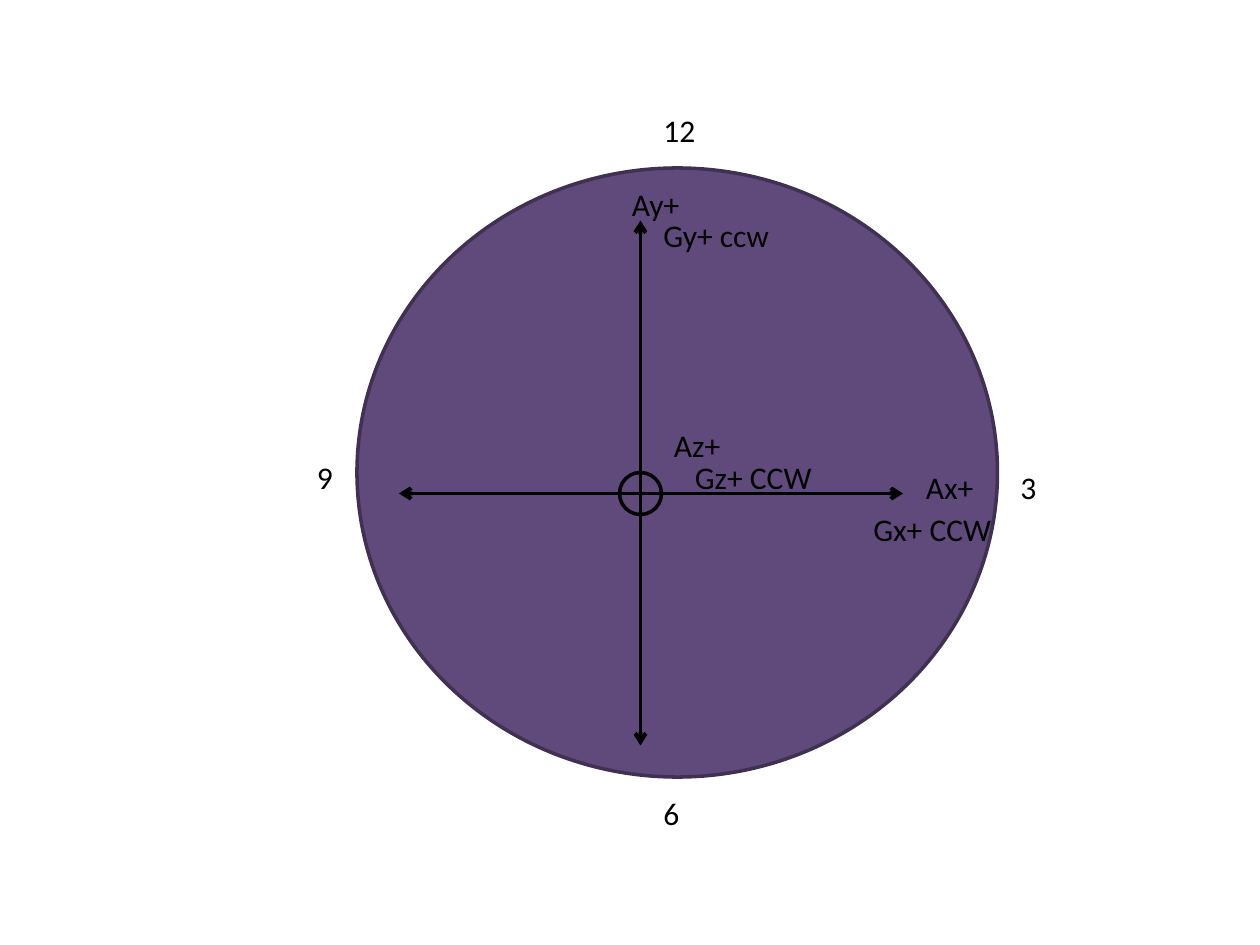
import dataclasses
import pptx
import pptx.dml.color
import pptx.enum.shapes
import pptx.enum.text
import pptx.oxml
import pptx.oxml.ns
import pptx.util

Pt = pptx.util.Pt
RGB = pptx.dml.color.RGBColor
SHAPE = pptx.enum.shapes.MSO_SHAPE


@dataclasses.dataclass(frozen=True)
class Theme:
    dial: RGB = RGB(0x60, 0x4A, 0x7B)
    rim: RGB = RGB(0x40, 0x31, 0x52)
    ink: RGB = RGB(0, 0, 0)
    font: str = "Calibri"
    text_size: float = 18
    outline: float = 2
    axis: float = 2.25


THEME = Theme()


def set_all(target, values):
    for key, value in values.items():
        setattr(target, key, value)


def add_disc(slide, left, top, width, height, rim):
    disc = slide.shapes.add_shape(SHAPE.OVAL, Pt(left), Pt(top), Pt(width), Pt(height))
    disc.shadow.inherit = False
    disc.fill.solid()
    disc.fill.fore_color.rgb = THEME.dial
    disc.line.color.rgb = rim
    disc.line.width = Pt(THEME.outline)


def add_axis(slide, x1, y1, x2, y2):
    axis = slide.shapes.add_connector(
        pptx.enum.shapes.MSO_CONNECTOR.STRAIGHT, Pt(x1), Pt(y1), Pt(x2), Pt(y2))
    axis.line.color.rgb = THEME.ink
    axis.line.width = Pt(THEME.axis)
    # Arrowheads at both ends, no shadow
    line = axis.line._get_or_add_ln()
    for end in ("a:headEnd", "a:tailEnd"):
        line.append(pptx.oxml.parse_xml(
            f'<{end} {pptx.oxml.ns.nsdecls("a")} type="arrow"/>'))
    axis._element.spPr.append(pptx.oxml.parse_xml(
        f'<a:effectLst {pptx.oxml.ns.nsdecls("a")}/>'))


def add_label(slide, words, left, top, width, wrap, height=29):
    label = slide.shapes.add_textbox(Pt(left), Pt(top), Pt(width), Pt(height))
    set_all(label.text_frame, {
        "word_wrap": wrap,
        "auto_size": pptx.enum.text.MSO_AUTO_SIZE.SHAPE_TO_FIT_TEXT,
    })
    run = label.text_frame.paragraphs[0].add_run()
    run.text = words
    set_all(run.font, {"name": THEME.font, "size": Pt(THEME.text_size)})
    run.font.color.rgb = THEME.ink


def sensor_dial(slide, left, top, width, height):
    """Clock dial with the sensor axes, placed relative to its box."""
    add_disc(slide, left, top, width, height, THEME.rim)

    # Hub where the axes cross
    hub_x, hub_y, hub_radius = left + 162, top + 186, 12
    add_disc(slide, hub_x - hub_radius, hub_y - hub_radius,
             2 * hub_radius, 2 * hub_radius, THEME.ink)

    # Axes
    add_axis(slide, left + 24, hub_y, left + 312, hub_y)
    add_axis(slide, hub_x, top + 30, hub_x, top + 330)

    # Labels: words, offset from the dial, width, wrap
    labels = [
        # Acceleration
        ("Ay+", 150, 6, 54, True),
        ("Ax+", 318, 168, 42, False),
        ("Az+", 174, 144, 41, False),
        # Rotation
        ("Gy+ ccw", 168, 24, 75.6, False),
        ("Gx+ CCW", 288, 192, 90, True),
        ("Gz+ CCW", 186, 162, 96, True, 51),
        # Clock positions
        ("12", 168, -36, 36, True),
        ("3", width + 6, 168, 24, False),
        ("6", 168, height + 6, 24, False),
        ("9", -30, 162, 24, False),
    ]
    for words, dx, dy, *size in labels:
        add_label(slide, words, left + dx, top + dy, *size)


deck = pptx.Presentation()
set_all(deck, {"slide_width": Pt(720), "slide_height": Pt(540)})
page = deck.slides.add_slide(deck.slide_layouts[6])
sensor_dial(page, 204, 96, 366, 348)
deck.save("out.pptx")
